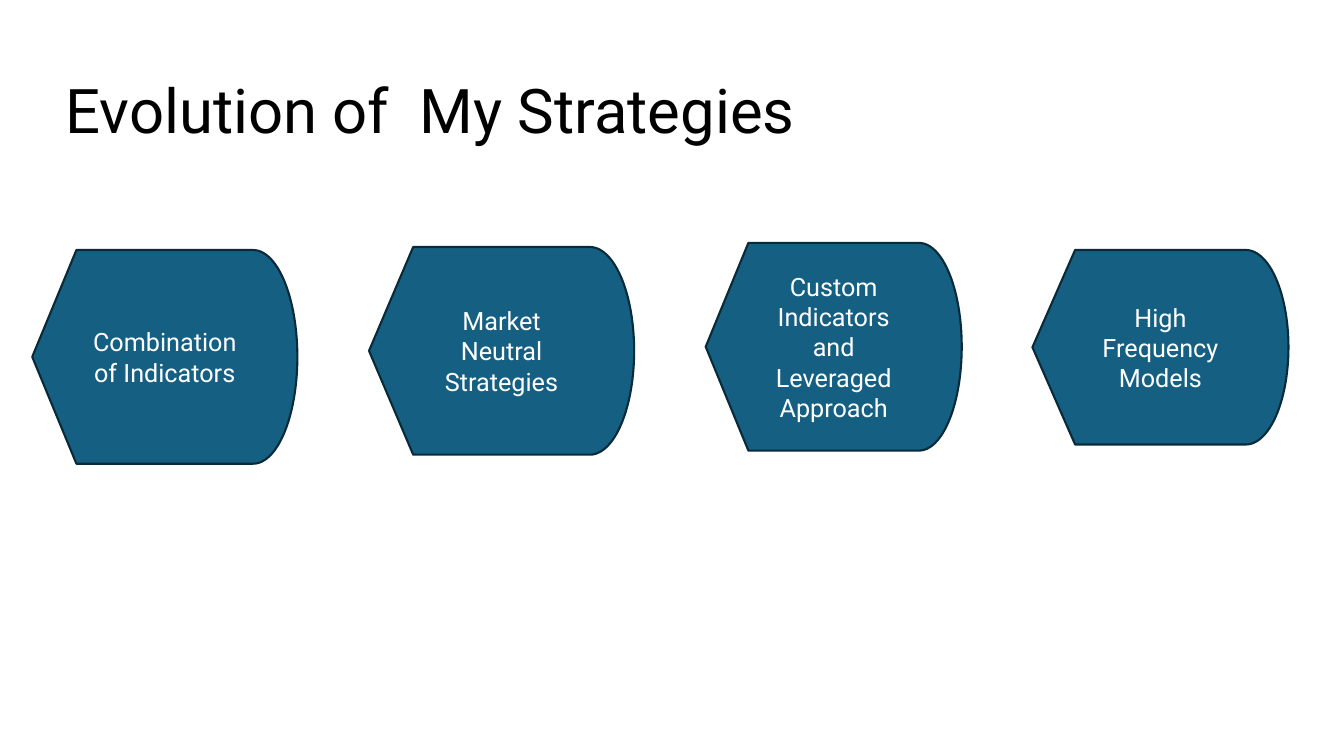
"""Build the slide that shows how the trading strategies evolved."""
from dataclasses import dataclass

from pptx import Presentation
from pptx.dml.color import RGBColor
from pptx.enum.shapes import MSO_SHAPE
from pptx.enum.text import MSO_ANCHOR, PP_ALIGN
from pptx.shapes.autoshape import Shape
from pptx.slide import Slide
from pptx.util import Inches, Length, Pt

SLIDE_WIDTH = Inches(13.33)
SLIDE_HEIGHT = Inches(7.5)
FONT = "Roboto"
STAGE_FILL = "156082"
STAGE_LINE = "092A39"
WHITE = "FFFFFF"
BLACK = "000000"


@dataclass(frozen=True)
class Box:
    left: float
    top: float
    width: float
    height: float

    def lengths(self) -> tuple[Length, ...]:
        sides = (SLIDE_WIDTH, SLIDE_HEIGHT, SLIDE_WIDTH, SLIDE_HEIGHT)
        percents = (self.left, self.top, self.width, self.height)
        return tuple(Length(round(side * percent / 100))
                     for side, percent in zip(sides, percents))


@dataclass(frozen=True)
class Stage:
    label: str
    box: Box


TITLE_BOX = Box(4.13, 5.33, 86.27, 19.33)
STAGES = (
    Stage("Combination of Indicators", Box(2.4, 33.07, 19.73, 28.27)),
    Stage("Market Neutral Strategies", Box(27.46, 32.67, 19.73, 27.47)),
    Stage("Custom Indicators and Leveraged Approach",
          Box(52.51, 32.13, 19.05, 27.47)),
    Stage("High Frequency Models", Box(76.82, 33.07, 19.05, 25.73)),
)


def color(value: str) -> RGBColor:
    return RGBColor.from_string(value)


def write_text(shape: Shape, text: str, size: int, ink: str,
               alignment: PP_ALIGN, line_spacing: float = 1.0) -> None:
    text_frame = shape.text_frame
    text_frame.text = text
    text_frame.word_wrap = True
    text_frame.vertical_anchor = MSO_ANCHOR.MIDDLE
    paragraph = text_frame.paragraphs[0]
    paragraph.alignment = alignment
    paragraph.line_spacing = line_spacing
    font = paragraph.runs[0].font
    font.name = FONT
    font.size = Pt(size)
    font.color.rgb = color(ink)


def draw_stage(slide: Slide, stage: Stage) -> None:
    shape = slide.shapes.add_shape(MSO_SHAPE.FLOWCHART_DISPLAY,
                                   *stage.box.lengths())
    shape.shadow.inherit = False
    shape.fill.solid()
    shape.fill.fore_color.rgb = color(STAGE_FILL)
    shape.line.color.rgb = color(STAGE_LINE)
    shape.line.width = Pt(1.5)
    write_text(shape, stage.label, 18, WHITE, PP_ALIGN.CENTER)


def draw_title(slide: Slide, title: str) -> None:
    shape = slide.shapes.add_textbox(*TITLE_BOX.lengths())
    write_text(shape, title, 44, BLACK, PP_ALIGN.LEFT, 0.9)


def main() -> None:
    presentation = Presentation()
    presentation.slide_width = SLIDE_WIDTH
    presentation.slide_height = SLIDE_HEIGHT
    slide = presentation.slides.add_slide(presentation.slide_layouts[6])
    for stage in STAGES:
        draw_stage(slide, stage)
    draw_title(slide, "Evolution of  My Strategies")
    presentation.save("out.pptx")


if __name__ == "__main__":
    main()
